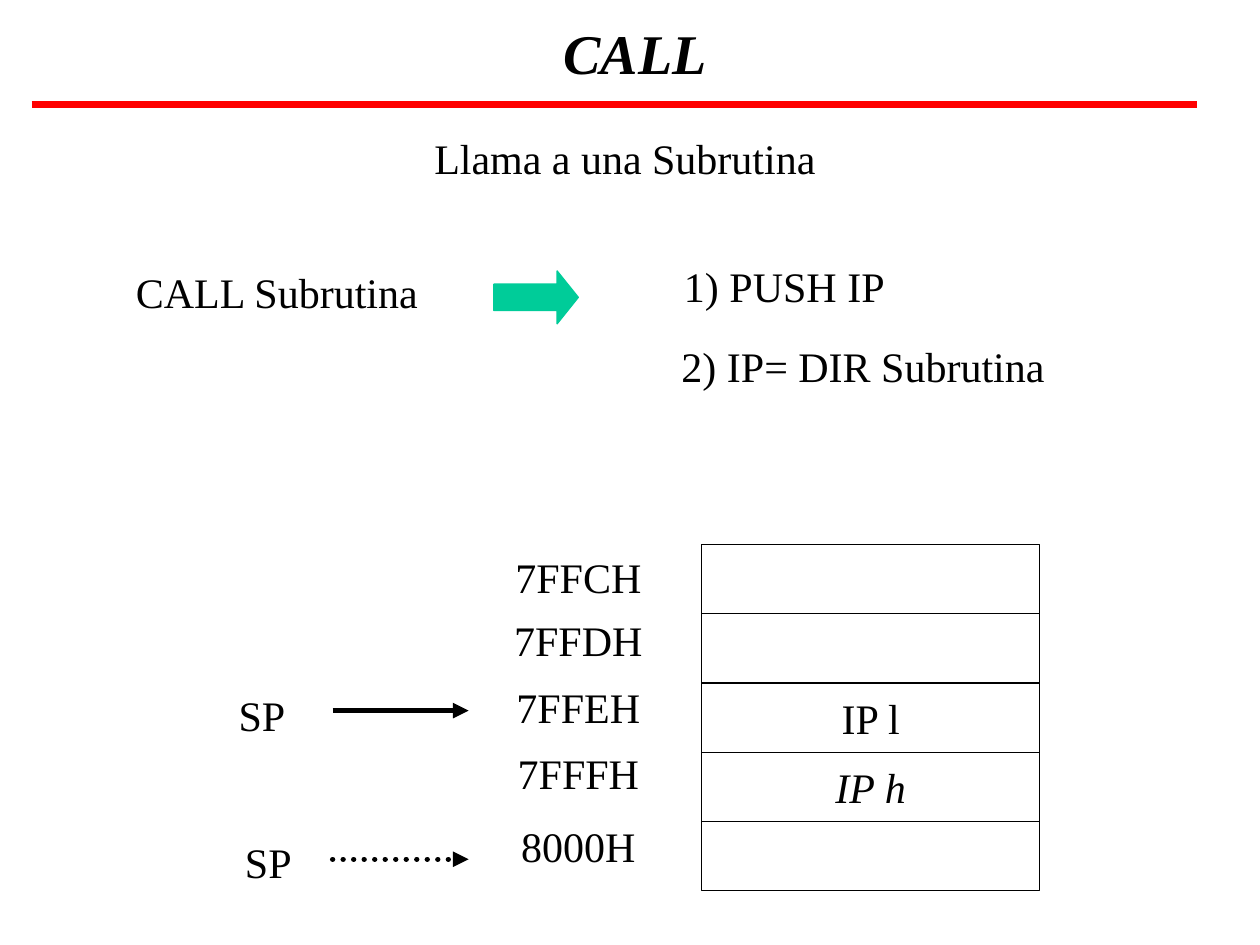
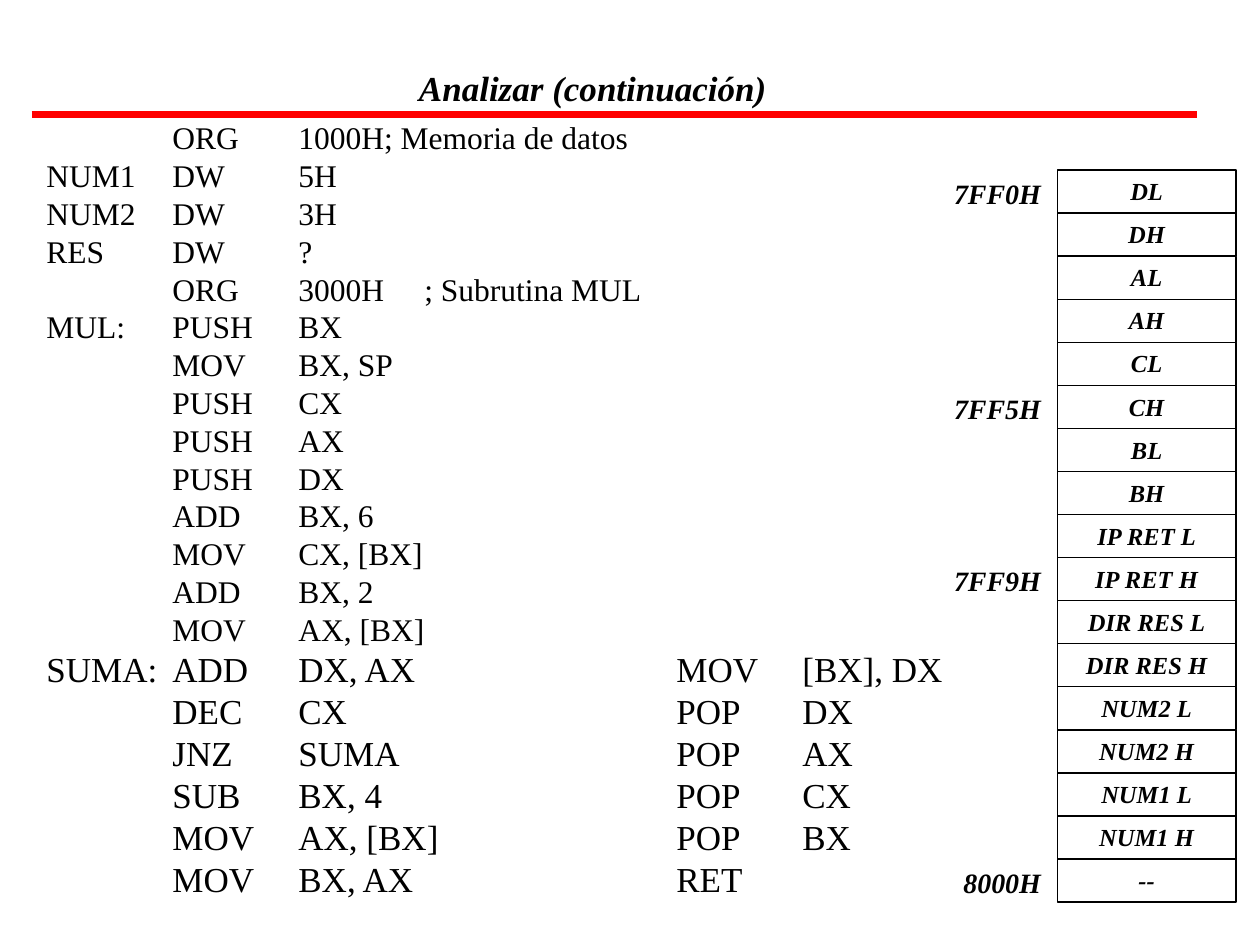
from lxml import etree
from pptx import Presentation
from pptx.dml.color import RGBColor
from pptx.enum.dml import MSO_LINE
from pptx.enum.shapes import MSO_CONNECTOR, MSO_SHAPE
from pptx.enum.text import MSO_ANCHOR, PP_ALIGN
from pptx.oxml.ns import qn
from pptx.util import Inches, Pt

COLORS = {"text": "000000", "rule": "FF0000", "arrow": "00CC99"}
FONT = "Times New Roman"
LEFT, CENTER, RIGHT = PP_ALIGN.LEFT, PP_ALIGN.CENTER, PP_ALIGN.RIGHT
TOP, MIDDLE = MSO_ANCHOR.TOP, MSO_ANCHOR.MIDDLE
RECTANGLE, RIGHT_ARROW = MSO_SHAPE.RECTANGLE, MSO_SHAPE.RIGHT_ARROW
STRAIGHT, ROUND_DOT = MSO_CONNECTOR.STRAIGHT, MSO_LINE.ROUND_DOT
BLANK_LAYOUT = 6

STACK_ADDRESSES = [("7FFCH", 4.33), ("7FFDH", 4.83), ("7FFEH", 5.36),
                   ("7FFFH", 5.88), ("8000H", 6.46)]
STACK_CELLS = ["", "", "IP l", "IP h", ""]

DATA_AND_ENTRY_CODE = [
    "\tORG\t1000H; Memoria de datos",
    "NUM1\tDW\t5H",
    "NUM2\tDW\t3H",
    "RES\tDW\t?",
    "\tORG\t3000H\t; Subrutina MUL",
    "MUL:\tPUSH\tBX",
    "\tMOV\tBX, SP",
    "\tPUSH\tCX",
    "\tPUSH\tAX",
    "\tPUSH\tDX",
    "\tADD\tBX, 6",
    "\tMOV\tCX, [BX]",
    "\tADD\tBX, 2",
    "\tMOV\tAX, [BX]",
]
LOOP_AND_EXIT_CODE = [
    "SUMA:\tADD\tDX, AX\t\t\tMOV\t[BX], DX",
    "\tDEC\tCX\t\t\tPOP\tDX",
    "\tJNZ\tSUMA\t\t\tPOP\tAX",
    "\tSUB\tBX, 4\t\t\tPOP\tCX",
    "\tMOV\tAX, [BX]\t\tPOP\tBX",
    "\tMOV\tBX, AX\t\t\tRET",
]
STACK_FRAME = ["DL", "DH", "AL", "AH", "CL", "CH", "BL", "BH",
               "IP RET L", "IP RET H", "DIR RES L", "DIR RES H",
               "NUM2 L", "NUM2 H", "NUM1 L", "NUM1 H", "--"]
FRAME_ADDRESSES = {0: "7FF0H", 5: "7FF5H", 9: "7FF9H", 16: "8000H"}


def color(name):
    return RGBColor.from_string(COLORS[name])


def style_paragraph(para, size, align=LEFT, bold=False, italic=False):
    para.alignment = align
    for span in para.runs:
        font = span.font
        font.name, font.size = FONT, Pt(size)
        font.bold, font.italic = bold, italic
        font.color.rgb = color("text")


def write(shape, text, size, align=LEFT, anchor=TOP, **style):
    frame = shape.text_frame
    frame.word_wrap = True
    frame.vertical_anchor = anchor
    frame.text = text
    style_paragraph(frame.paragraphs[0], size, align, **style)


def add_text(page, box, text, size, align=LEFT, anchor=TOP, **style):
    shape = page.shapes.add_textbox(*map(Inches, box))
    write(shape, text, size, align, anchor, **style)


def add_cell(page, box):
    """Add an unfilled, thinly outlined memory cell."""
    cell = page.shapes.add_shape(RECTANGLE, *map(Inches, box))
    cell.shadow.inherit = False
    cell.fill.background()
    cell.line.color.rgb = color("text")
    cell.line.width = Pt(0.75)
    return cell


def add_line(page, left, right, y, color_name, width):
    """Add a horizontal line without shadow."""
    line = page.shapes.add_connector(
        STRAIGHT, Inches(left), Inches(y), Inches(right), Inches(y))
    line.line.color.rgb = color(color_name)
    line.line.width = Pt(width)
    etree.SubElement(line._element.spPr, qn("a:effectLst"))
    return line


def add_header(page, box, title, size, rule_y):
    add_text(page, box, title, size, CENTER, MIDDLE, bold=True, italic=True)
    add_line(page, 0.25, 9.5, rule_y, "rule", 4)


def add_pointer(page, label_left, label_top, arrow_y, dotted=False):
    """Add the label SP and its arrow towards a stack address."""
    add_text(page, (label_left, label_top, 1.5, 0.5), "SP", 24, CENTER)
    arrow = add_line(page, 2.64, 3.72, arrow_y, "text", 3)
    if dotted:
        arrow.line.dash_style = ROUND_DOT
        arrow.line._ln.set("cap", "rnd")
    etree.SubElement(arrow.line._ln, qn("a:tailEnd"), type="triangle")


def add_call_steps(page, left, top):
    add_text(page, (left, top + 0.05, 2.52, 0.5), "CALL Subrutina", 24)
    arrow = page.shapes.add_shape(
        RIGHT_ARROW, Inches(left + 2.94), Inches(top + 0.13),
        Inches(0.67), Inches(0.42))
    arrow.adjustments[1] = 0.4
    arrow.shadow.inherit = False
    arrow.fill.solid()
    arrow.fill.fore_color.rgb = color("arrow")
    arrow.line.color.rgb = color("arrow")
    arrow.line.width = Pt(0.75)
    add_text(page, (left + 4.35, top, 3.92, 0.5), "1) PUSH IP", 24)
    add_text(page, (left + 4.33, top + 0.63, 3.92, 0.5),
             "2) IP= DIR Subrutina", 24)


def add_stack(page, left, top, width, row_height):
    for row, text in enumerate(STACK_CELLS):
        cell = add_cell(page, (left, top + row * row_height, width, row_height))
        if text:
            write(cell, text, 24, CENTER, MIDDLE, italic=text == "IP h")
    for address, address_top in STACK_ADDRESSES:
        add_text(page, (left - 1.73, address_top, 1.5, 0.5), address, 24, CENTER)


def add_code(page, box):
    frame = page.shapes.add_textbox(*map(Inches, box)).text_frame
    frame.word_wrap = True
    lines = [(line, 18) for line in DATA_AND_ENTRY_CODE]
    lines += [(line, 20) for line in LOOP_AND_EXIT_CODE]
    for number, (line, size) in enumerate(lines):
        para = frame.paragraphs[0] if number == 0 else frame.add_paragraph()
        para.text = line
        tabs = etree.SubElement(para._p.get_or_add_pPr(), qn("a:tabLst"))
        for stop in range(1, 8):
            etree.SubElement(tabs, qn("a:tab"), pos=str(Inches(stop)), algn="l")
        style_paragraph(para, size)


def add_stack_frame(page, left, top, width, bottom):
    row_height = (bottom - top) / len(STACK_FRAME)
    for row, text in enumerate(STACK_FRAME):
        row_top = top + row * row_height
        cell = add_cell(page, (left, row_top, width, row_height))
        write(cell, text, 14, CENTER, bold=True, italic=True)
        if row in FRAME_ADDRESSES:
            add_text(page, (left - 1.26, row_top, 1.23, 0.37),
                     FRAME_ADDRESSES[row], 16, RIGHT, bold=True, italic=True)


def build_call_slide(page):
    add_header(page, (0.83, 0, 8.42, 0.83), "CALL", 32, 0.83)
    add_text(page, (0.67, 1, 8.58, 0.5), "Llama a una Subrutina", 24, CENTER)
    add_call_steps(page, 0.98, 2.02)
    add_stack(page, 5.57, 4.32, 2.68, 0.55)
    add_pointer(page, 1.33, 5.42, 5.64)
    add_pointer(page, 1.38, 6.59, 6.82, dotted=True)


def build_analysis_slide(page):
    add_header(page, (0, 0.28, 9.41, 0.83), "Analizar (continuación)", 20, 0.91)
    add_code(page, (0.27, 0.89, 7.56, 6.6))
    add_stack_frame(page, 8.39, 1.35, 1.42, 7.16)


def main():
    deck = Presentation()
    deck.slide_width, deck.slide_height = Inches(10), Inches(7.5)
    for build in (build_call_slide, build_analysis_slide):
        build(deck.slides.add_slide(deck.slide_layouts[BLANK_LAYOUT]))
    deck.save("out.pptx")


if __name__ == "__main__":
    main()
